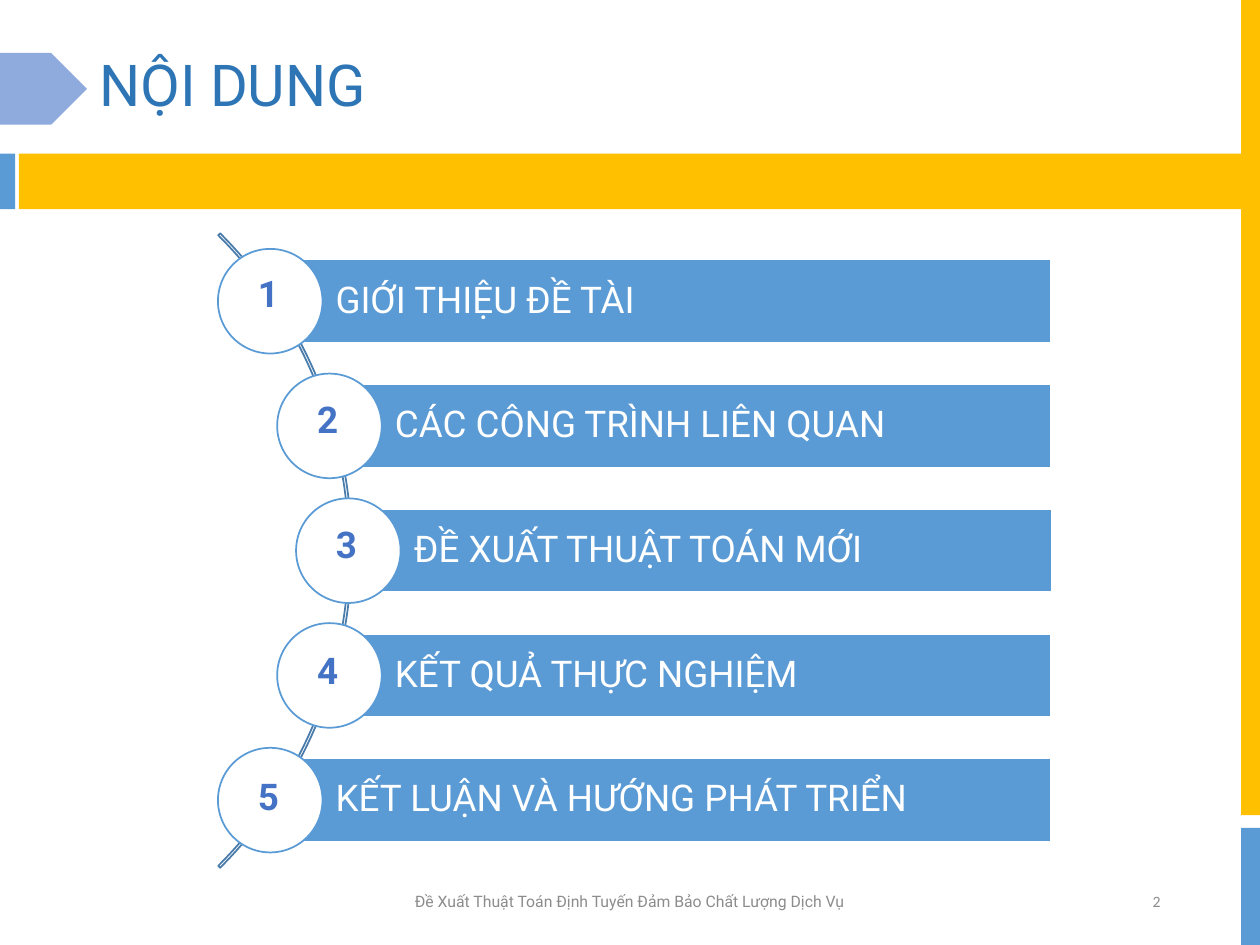
import dataclasses
import typing

import lxml.etree
import pptx
import pptx.dml.color
import pptx.enum.shapes
import pptx.enum.text
import pptx.oxml
import pptx.oxml.ns
import pptx.util

Kind = pptx.enum.shapes.MSO_SHAPE
Align = pptx.enum.text.PP_ALIGN
Anchor = pptx.enum.text.MSO_ANCHOR

HUES = {
    "gold": "FFC000", "blue": "5B9BD5", "pale": "8FAADC", "white": "FFFFFF",
    "title": "2E75B6", "grey": "8C8C8C", "arc": "497CAB",
    "dark": "203864", "mid": "4472C4",
}
WIDE, HIGH = pptx.util.Inches(10), pptx.util.Inches(7.5)
FIRST, PITCH = 31.87, 13.2
NUM_TOP, NUM_STEP = 28, 13.3
BAR_END, BAR_HIGH = 83.45, 8.8
DISC_WIDE, DISC_HIGH = 8.3, 11.07


@dataclasses.dataclass
class Box:
    left: float
    top: float
    wide: float
    high: float

    def place(self) -> tuple[int, int, int, int]:
        return (int(WIDE * self.left / 100), int(HIGH * self.top / 100),
                int(WIDE * self.wide / 100), int(HIGH * self.high / 100))


@dataclasses.dataclass
class Block:
    kind: Kind
    box: Box
    fill: typing.Optional[str] = None
    line: typing.Optional[str] = None


@dataclasses.dataclass
class Label:
    text: str
    size: float
    hue: str
    font: str = "Roboto"
    align: Align = Align.LEFT
    anchor: Anchor = Anchor.MIDDLE
    bold: bool = False
    space: float = 1.0


@dataclasses.dataclass
class Topic:
    text: str
    mid: float


FRAME = [
    Block(Kind.PENTAGON, Box(0, 5.6, 6.9, 7.6), "pale"),
    Block(Kind.RECTANGLE, Box(98.5, 0, 1.5, 86.27), "gold"),
    Block(Kind.RECTANGLE, Box(98.5, 87.6, 1.5, 12.4), "blue"),
    Block(Kind.RECTANGLE, Box(1.5, 16.27, 97, 5.87), "gold"),
    Block(Kind.RECTANGLE, Box(-0.2, 16.27, 1.4, 5.87), "blue"),
]
TEXTS = [
    (Box(6.9, 2.53, 86.2, 13.47), Label("NỘI DUNG", 33, "title", space=0.9)),
    (Box(70.6, 92.67, 22.5, 5.33),
     Label("2", 9, "grey", "Calibri", Align.RIGHT)),
    (Box(31.2, 92.67, 37.5, 5.33),
     Label("Đề Xuất Thuật Toán Định Tuyến Đảm Bảo Chất Lượng Dịch Vụ",
           9, "grey", align=Align.CENTER)),
]
ARC = Block(Kind.BLOCK_ARC, Box(-43.3, 10.8, 71.2, 94.93), line="arc")
TOPICS = [
    Topic("GIỚI THIỆU ĐỀ TÀI", 21.45),
    Topic("CÁC CÔNG TRÌNH LIÊN QUAN", 26.15),
    Topic("ĐỀ XUẤT THUẬT TOÁN MỚI", 27.65),
    Topic("KẾT QUẢ THỰC NGHIỆM", 26.15),
    Topic("KẾT LUẬN VÀ HƯỚNG PHÁT TRIỂN", 21.45),
]


def tint(name: str) -> pptx.dml.color.RGBColor:
    return pptx.dml.color.RGBColor.from_string(HUES[name])


def draw(slide, block: Block):
    shape = slide.shapes.add_shape(block.kind, *block.box.place())
    shape.shadow.inherit = False
    if block.fill:
        shape.fill.solid()
        shape.fill.fore_color.rgb = tint(block.fill)
    else:
        shape.fill.background()
    if block.line:
        shape.line.color.rgb = tint(block.line)
        shape.line.width = pptx.util.Pt(1)
    else:
        shape.line.fill.background()
    return shape


def write(shape, label: Label):
    frame = shape.text_frame
    frame.word_wrap = True
    frame.vertical_anchor = label.anchor
    para = frame.paragraphs[0]
    run = para.add_run()
    run.text = label.text
    para.alignment = label.align
    para.line_spacing = label.space
    para.font.name = label.font
    para.font.size = pptx.util.Pt(label.size)
    para.font.bold = label.bold
    para.font.color.rgb = tint(label.hue)
    return run


def note(slide, box: Box, label: Label):
    return write(slide.shapes.add_textbox(*box.place()), label)


def shade(run) -> None:
    stops = "".join(
        f'<a:gs pos="{pos}"><a:srgbClr val="{HUES[name]}"/></a:gs>'
        for pos, name in ((0, "dark"), (50000, "mid"), (100000, "pale")))
    run._r.get_or_add_rPr().append(pptx.oxml.parse_xml(
        f'<a:gradFill {pptx.oxml.ns.nsdecls("a")}><a:gsLst>{stops}</a:gsLst>'
        '<a:lin ang="5400000" scaled="0"/></a:gradFill>'))


def item(slide, row: int, topic: Topic) -> None:
    mid = FIRST + row * PITCH
    bar = draw(slide, Block(
        Kind.RECTANGLE,
        Box(topic.mid, mid - BAR_HIGH / 2, BAR_END - topic.mid, BAR_HIGH),
        "blue", "white"))
    write(bar, Label(topic.text, 21, "white", space=0.9))
    frame = bar.text_frame
    frame.margin_left = pptx.util.Inches(0.52)
    frame.margin_top = frame.margin_right = frame.margin_bottom = (
        pptx.util.Inches(0.06))
    draw(slide, Block(
        Kind.OVAL,
        Box(topic.mid - DISC_WIDE / 2, mid - DISC_HIGH / 2,
            DISC_WIDE, DISC_HIGH),
        "white", "blue"))


def count(slide, row: int, topic: Topic) -> None:
    box = Box(topic.mid - 2.75, NUM_TOP + row * NUM_STEP, 5.2, 6)
    shade(note(slide, box, Label(str(row + 1), 21, "mid", align=Align.CENTER,
                                 anchor=Anchor.TOP, bold=True)))


def main() -> None:
    deck = pptx.Presentation()
    deck.slide_width, deck.slide_height = WIDE, HIGH
    slide = deck.slides.add_slide(deck.slide_layouts[6])
    for block in FRAME:
        draw(slide, block)
    for box, label in TEXTS:
        note(slide, box, label)
    arc = draw(slide, ARC)
    for slot, value in enumerate((189, 27, 0.003)):
        arc.adjustments[slot] = value
    for step in (item, count):
        for row, topic in enumerate(TOPICS):
            step(slide, row, topic)
    deck.save("out.pptx")


if __name__ == "__main__":
    main()
